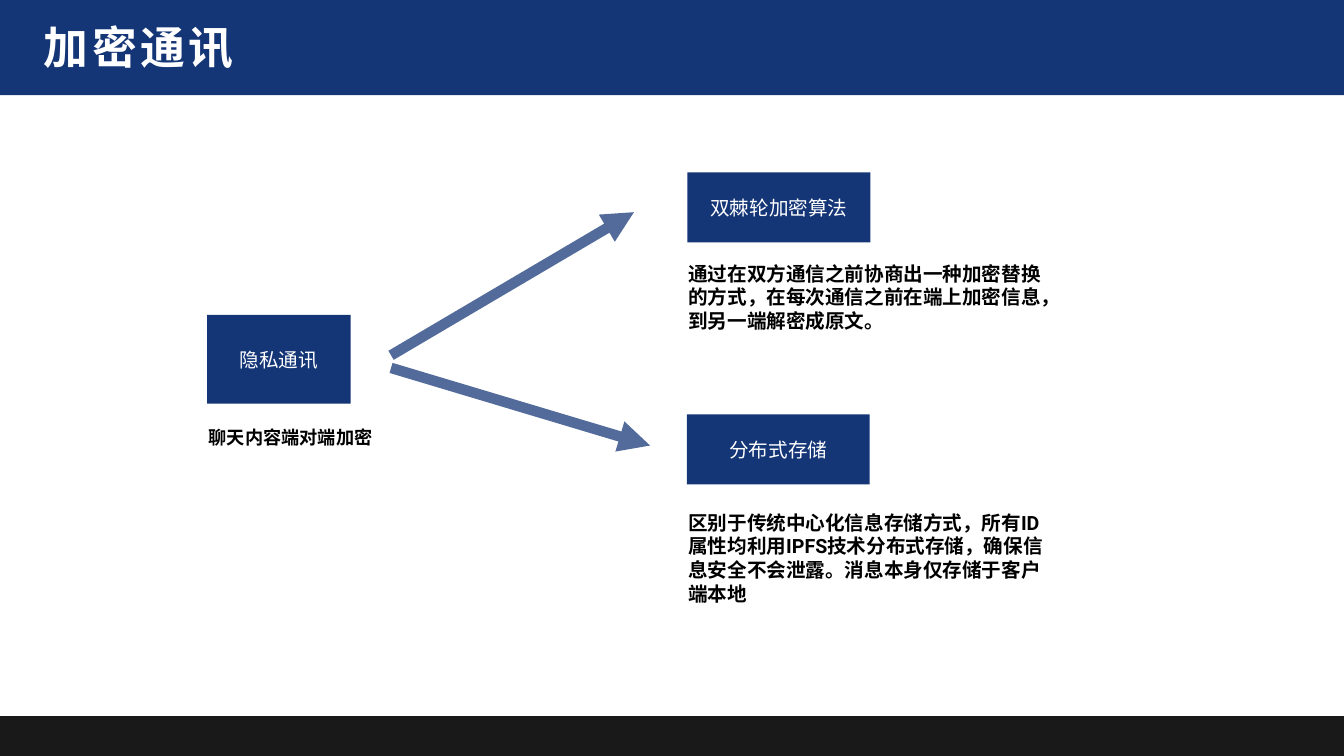
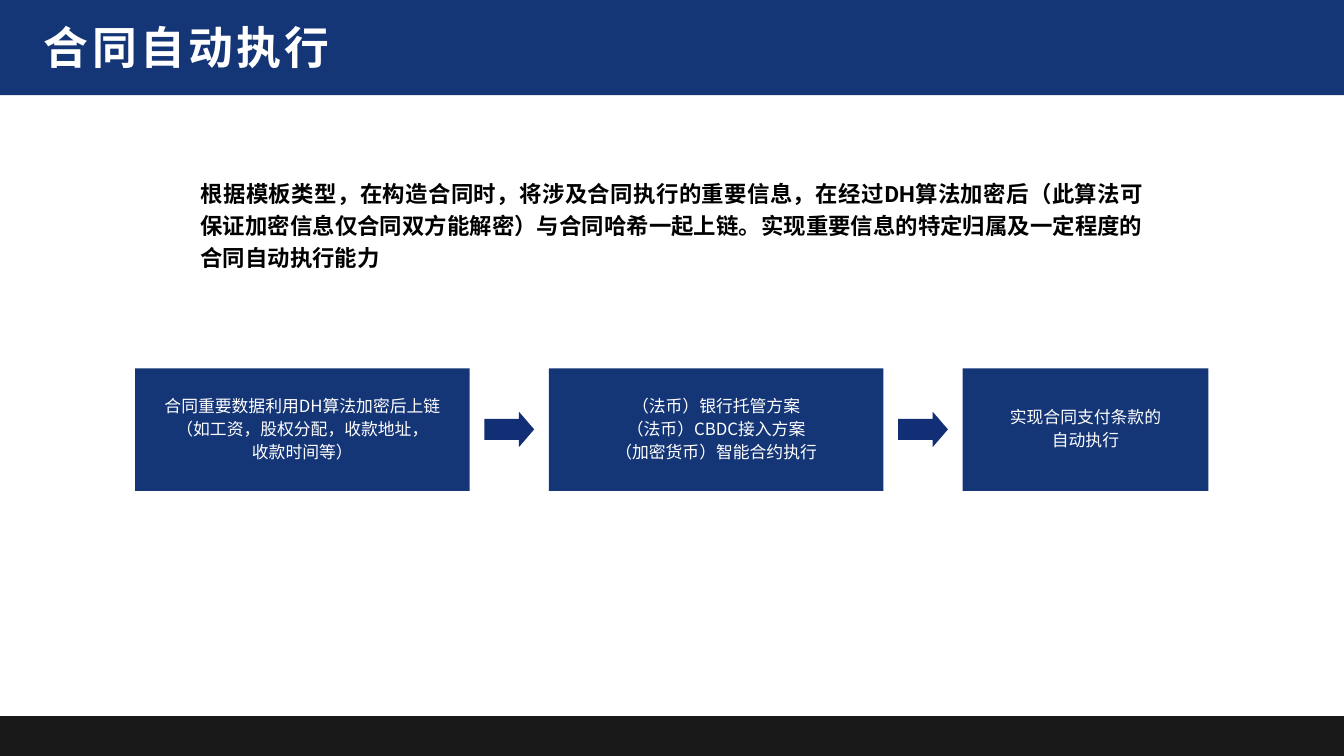
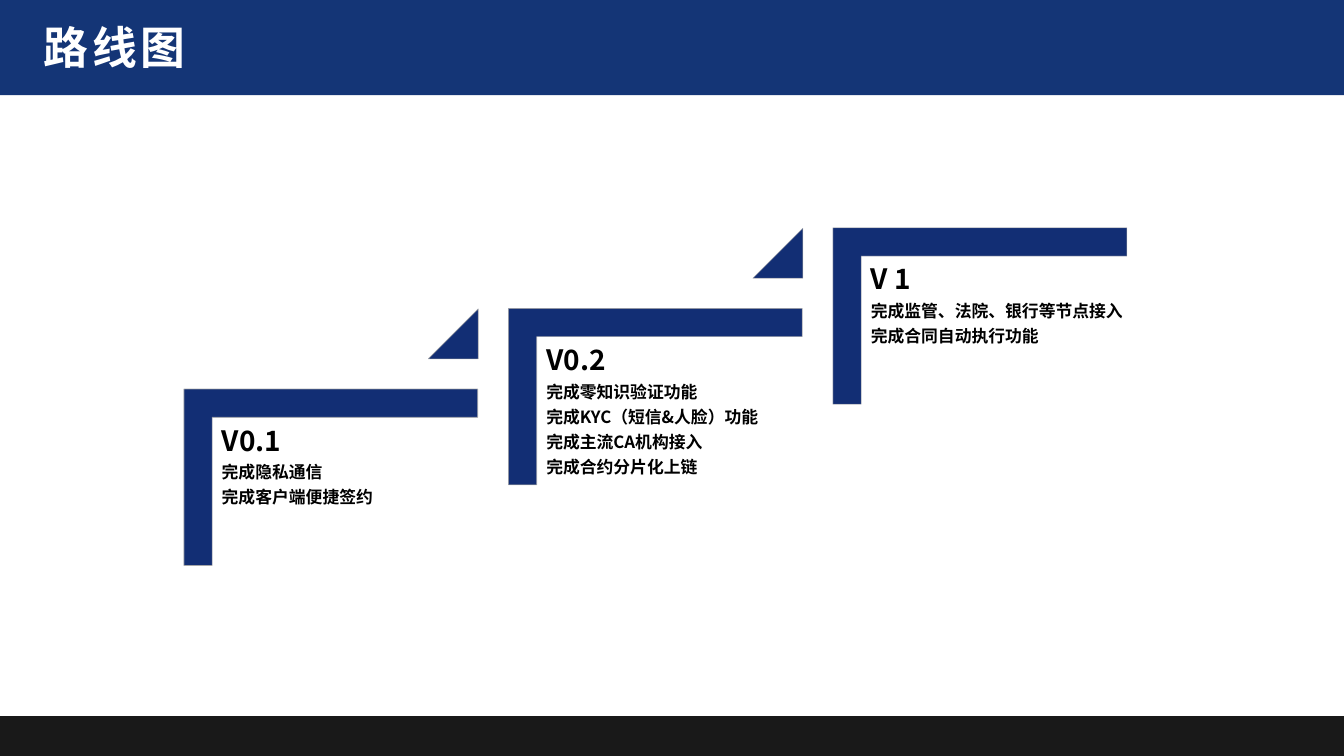
from lxml.etree import SubElement
from pptx import Presentation
from pptx.dml.color import RGBColor
from pptx.enum.dml import MSO_LINE
from pptx.enum.shapes import MSO_CONNECTOR, MSO_SHAPE
from pptx.enum.text import MSO_ANCHOR, MSO_AUTO_SIZE, PP_ALIGN
from pptx.oxml.ns import qn
from pptx.util import Pt

PX = 9144  # 100 px to the inch
W, H = 2667, 1500
COLORS = {
    "band": "143576",
    "accent": "122E74",
    "outline": "A5A5A5",
    "black": "000000",
    "white": "FFFFFF",
}
TITLES = ["加密通讯", "合同自动执行", "路线图"]


def paint(s, fill, outline=None):
    s.shadow.inherit = False
    s.fill.solid()
    s.fill.fore_color.rgb = RGBColor.from_string(COLORS[fill])
    if outline:
        s.line.color.rgb = RGBColor.from_string(COLORS[outline])
        s.line.width = Pt(1)
    else:
        s.line.fill.background()
    return s


def write(s, lines, size, font="Roboto", color="black", bold=True, align=PP_ALIGN.LEFT,
          anchor=MSO_ANCHOR.MIDDLE, inset=6, spacing=None, before=0):
    tf = s.text_frame
    tf.word_wrap = True
    tf.vertical_anchor = anchor
    tf.margin_left = tf.margin_right = tf.margin_top = tf.margin_bottom = inset * PX
    for i, line in enumerate(lines):
        p = tf.add_paragraph() if i else tf.paragraphs[0]
        p.text = line
        p.alignment = align
        p.font.name = font
        p.font.size = Pt(size)
        p.font.bold = bold
        p.font.color.rgb = RGBColor.from_string(COLORS[color])
        if spacing:
            p.line_spacing = spacing
        if i and before:
            p.space_before = Pt(before)
    return tf


prs = Presentation()
prs.slide_width, prs.slide_height = W * PX, H * PX
translucent = []  # (shape, opacity in percent)

# Bands and titles
slides = []
for title in TITLES:
    slide = prs.slides.add_slide(prs.slide_layouts[6])
    slides.append(slide)
    footer = paint(slide.shapes.add_shape(
        MSO_SHAPE.RECTANGLE, 0, 1421 * PX, W * PX, (H - 1421) * PX), "black")
    translucent.append((footer, 90))
    paint(slide.shapes.add_shape(MSO_SHAPE.RECTANGLE, 0, 0, W * PX, 189 * PX), "band")
    s = slide.shapes.add_textbox(87 * PX, 29 * PX, 96 * len(title) * PX, 125 * PX)
    tf = write(s, [title], 64, "Montserrat", "white", inset=0)
    tf.word_wrap = False
    tf.auto_size = MSO_AUTO_SIZE.SHAPE_TO_FIT_TEXT
    tf.paragraphs[0].runs[0]._r.get_or_add_rPr().set("spc", "500")

encryption, contract, roadmap = slides

# Encrypted messaging: one topic leading to two techniques
for label, x, y, w, h in [
    ("隐私通讯", 411, 625, 285, 176),
    ("双棘轮加密算法", 1364, 342, 363, 139),
    ("分布式存储", 1363, 822, 363, 139),
]:
    s = encryption.shapes.add_shape(MSO_SHAPE.RECTANGLE, x * PX, y * PX, w * PX, h * PX)
    write(paint(s, "band"), [label], 28, color="white", bold=False, align=PP_ALIGN.CENTER)

for text, size, x, y, w, h in [
    ("聊天内容端对端加密", 26, 408, 837, 343, 63),
    ("通过在双方通信之前协商出一种加密替换的方式，在每次通信之前在端上加密信息，到另一端解密成原文。",
     28, 1360, 500, 728, 178),
    ("区别于传统中心化信息存储方式，所有ID属性均利用IPFS技术分布式存储，确保信息安全不会泄露。"
     "消息本身仅存储于客户端本地", 28, 1360, 989, 728, 236),
]:
    s = encryption.shapes.add_textbox(x * PX, y * PX, w * PX, h * PX)
    write(s, [text], size).auto_size = MSO_AUTO_SIZE.SHAPE_TO_FIT_TEXT

for x1, y1, x2, y2 in [(776, 705, 1258, 421), (776, 730, 1290, 884)]:
    s = encryption.shapes.add_connector(
        MSO_CONNECTOR.STRAIGHT, x1 * PX, y1 * PX, x2 * PX, y2 * PX)
    s.line.color.rgb = RGBColor.from_string(COLORS["band"])
    s.line.width = Pt(15)
    s.line.dash_style = MSO_LINE.SOLID
    SubElement(s.line._get_or_add_ln(), qn("a:tailEnd"), type="triangle")
    SubElement(s._element.spPr, qn("a:effectLst"))
    translucent.append((s, 73))

# Automatic contract execution: summary and three steps
s = contract.shapes.add_textbox(392 * PX, 330 * PX, 1882 * PX, 225 * PX)
summary = write(s, [
    "根据模板类型，在构造合同时，将涉及合同执行的重要信息，在经过DH算法加密后"
    "（此算法可保证加密信息仅合同双方能解密）与合同哈希一起上链。"
    "实现重要信息的特定归属及一定程度的合同自动执行能力",
], 32, align=PP_ALIGN.JUSTIFY, spacing=1.2)
summary.auto_size = MSO_AUTO_SIZE.SHAPE_TO_FIT_TEXT

STEP_GAP, ARROW_GAP, ARROW_W = 157, 29, 99
x = 268
for i, (w, lines) in enumerate([
    (664, ["合同重要数据利用DH算法加密后上链", "（如工资，股权分配，收款地址，", "收款时间等）"]),
    (664, ["（法币）银行托管方案", "（法币）CBDC接入方案", "（加密货币）智能合约执行"]),
    (488, ["实现合同支付条款的", "自动执行"]),
]):
    if i:
        arrow = paint(contract.shapes.add_shape(
            MSO_SHAPE.RIGHT_ARROW, (x - ARROW_GAP - ARROW_W) * PX, 817 * PX,
            ARROW_W * PX, 70 * PX), "accent")
        arrow.adjustments[0], arrow.adjustments[1] = 0.6, 0.43
    s = contract.shapes.add_shape(MSO_SHAPE.RECTANGLE, x * PX, 731 * PX, w * PX, 243 * PX)
    write(paint(s, "band"), lines, 24, "Noto Sans CJK SC", "white", False,
          PP_ALIGN.CENTER, spacing=0.9, before=7)
    x += w + STEP_GAP

# Roadmap: a staircase of corners, with a triangle before each next step
STEP_X, STEP_Y = 644, -160
CORNER = [(365, 772), (948, 772), (948, 828), (421, 828), (421, 1122), (365, 1122)]
TRIANGLE = [(850, 712), (949, 613), (949, 712)]
releases = [
    ("V0.1", 526, ["完成隐私通信", "完成客户端便捷签约"]),
    ("V0.2", 526, ["完成零知识验证功能", "完成KYC（短信&人脸）功能",
                   "完成主流CA机构接入", "完成合约分片化上链"]),
    ("V 1", 589, ["完成监管、法院、银行等节点接入", "完成合同自动执行功能"]),
]
for i, (version, w, goals) in enumerate(releases):
    dx, dy = i * STEP_X, i * STEP_Y
    outlines = [CORNER, TRIANGLE] if i < len(releases) - 1 else [CORNER]
    for j, outline in enumerate(outlines):
        points = [(px + dx, py + dy) for px, py in outline]
        builder = roadmap.shapes.build_freeform(*points[0], scale=PX)
        builder.add_line_segments(points[1:], close=True)
        s = paint(builder.convert_to_shape(), "accent", "outline")
        translucent.append((s, 90 - 20 * i - 10 * j))
    s = roadmap.shapes.add_textbox(
        (423 + dx) * PX, (830 + dy) * PX, w * PX, (218 if len(goals) == 2 else 447) * PX)
    tf = write(s, [version, *goals], 24, "Noto Sans CJK SC", anchor=MSO_ANCHOR.TOP,
               inset=17, spacing=0.9, before=10)
    tf.auto_size = MSO_AUTO_SIZE.SHAPE_TO_FIT_TEXT
    tf.paragraphs[0].font.size = Pt(40)

# The last colour of a shape is its line, or its fill when it has no line
for s, opacity in translucent:
    color = s._element.spPr.findall(".//" + qn("a:srgbClr"))[-1]
    SubElement(color, qn("a:alpha"), val=str(opacity * 1000))

prs.save("out.pptx")
